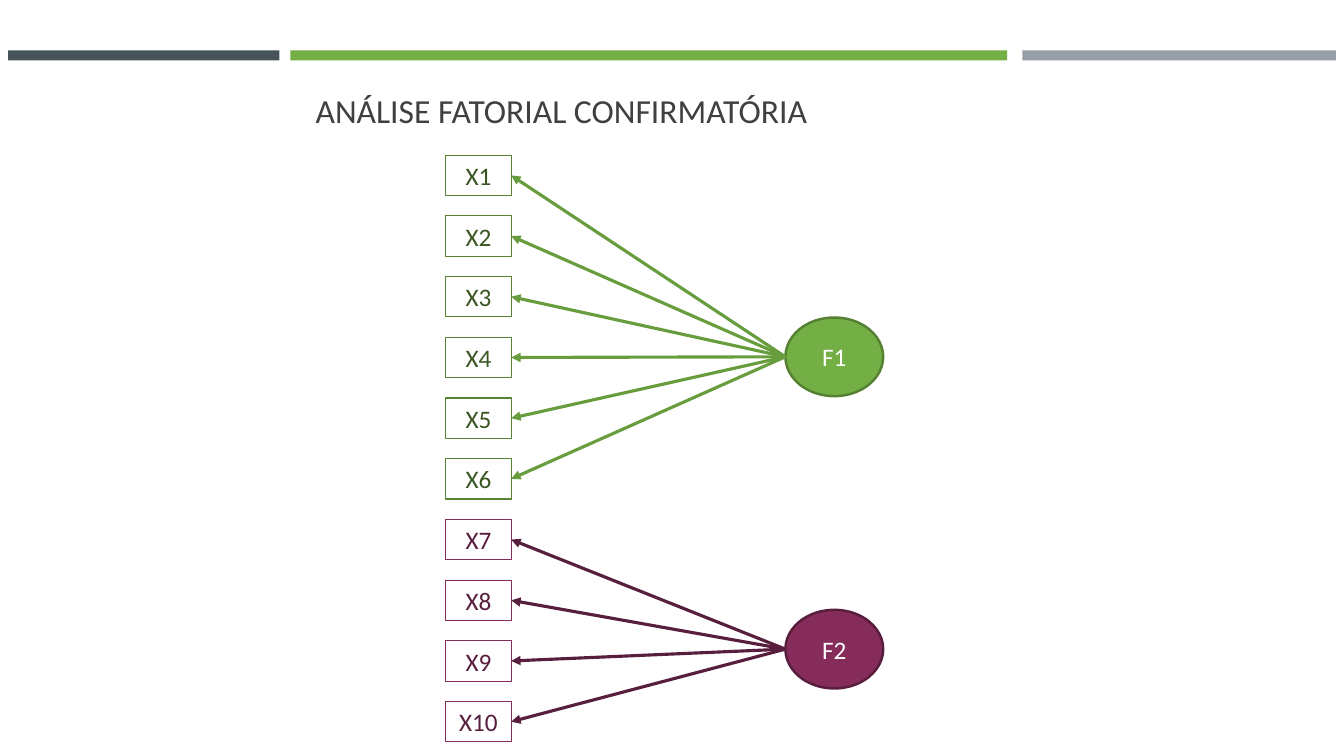
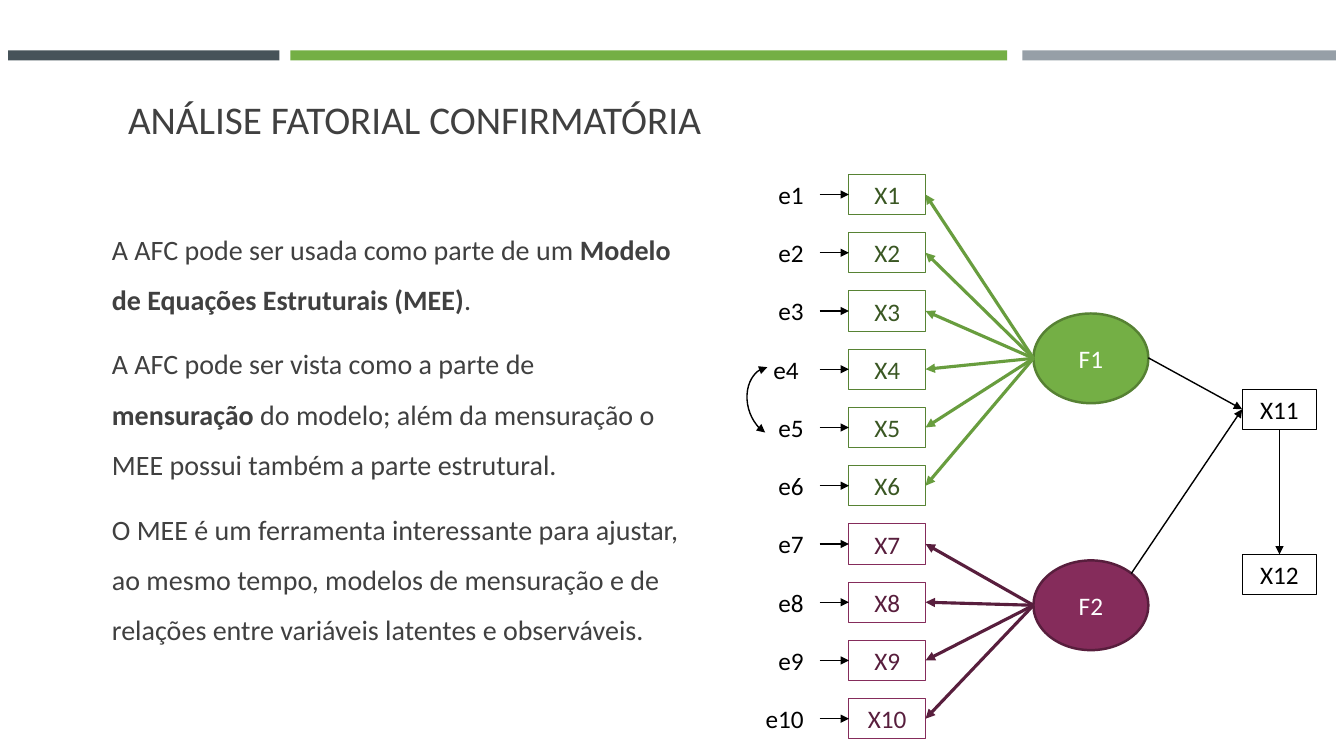
from lxml import etree
from pptx import Presentation
from pptx.dml.color import RGBColor
from pptx.enum import shapes, text
from pptx.oxml import ns
from pptx.util import Inches, Pt

FONT = "Calibri"
DARK, GREEN, GRAY = "465359", "74AF45", "969FA7"
BODY_INK, BLACK, WHITE = "404040", "000000", "FFFFFF"
TITLE = "ANÁLISE FATORIAL CONFIRMATÓRIA"
BOX_HEIGHT = 0.4
color = RGBColor.from_string


def add_node(slide, kind, position, label, fill, outline, outline_width, ink):
    shape = slide.shapes.add_shape(kind, *map(Inches, position))
    shape.shadow.inherit = False
    shape.fill.solid()
    shape.fill.fore_color.rgb = color(fill)
    shape.line.color.rgb = color(outline)
    shape.line.width = Pt(outline_width)
    shape.text_frame.vertical_anchor = text.MSO_ANCHOR.MIDDLE
    paragraph = shape.text_frame.paragraphs[0]
    paragraph.alignment = text.PP_ALIGN.CENTER
    run = paragraph.add_run()
    run.text = label
    run.font.name, run.font.size = FONT, Pt(18)
    run.font.color.rgb = color(ink)


def add_arrow(slide, start, end, line_color, width):
    """Draw a straight line with its arrowhead at the end point."""
    arrow = slide.shapes.add_connector(
        shapes.MSO_CONNECTOR.STRAIGHT, *map(Inches, (*start, *end)))
    arrow.line.color.rgb = color(line_color)
    arrow.line.width = Pt(width)
    etree.SubElement(arrow.line._get_or_add_ln(), ns.qn("a:tailEnd"), type="triangle")
    etree.SubElement(arrow.element.spPr, ns.qn("a:effectLst"))


presentation = Presentation()
presentation.slide_width = Inches(13.33)
presentation.slide_height = Inches(7.5)
model_slide = presentation.slides.add_slide(presentation.slide_layouts[5])
equations_slide = presentation.slides.add_slide(presentation.slide_layouts[1])

# Bands live on the slide master
for left, width, band_color in [(0.08, 2.69, DARK), (10.14, 3.11, GRAY), (2.88, 7.11, GREEN)]:
    band = model_slide.shapes.add_shape(
        shapes.MSO_SHAPE.RECTANGLE, Inches(left), Inches(0.5), Inches(width), Inches(0.1))
    band.shadow.inherit = False
    band.fill.solid()
    band.fill.fore_color.rgb = color(band_color)
    band.line.fill.background()
    presentation.slide_master.shapes.element.append(band.element)

# Titles
for slide, position, size in [
    (model_slide, (3.03, 0.74, 6.01, 0.7), 24),
    (equations_slide, (1.17, 0.83, 11, 0.7), 28),
]:
    title = slide.shapes.title
    title.left, title.top, title.width, title.height = map(Inches, position)
    title.text_frame.vertical_anchor = text.MSO_ANCHOR.MIDDLE
    paragraph = title.text_frame.paragraphs[0]
    paragraph.alignment = text.PP_ALIGN.LEFT
    run = paragraph.add_run()
    run.text = TITLE
    run.font.name, run.font.size = FONT, Pt(size)
    run.font.color.rgb = color(BODY_INK)

# Body text: (text, bold) runs
body_paragraphs = [
    [("A AFC pode ser usada como parte de um ", False),
     ("Modelo de Equações Estruturais (MEE)", True), (".", False)],
    [("A AFC pode ser vista como a parte de ", False), ("mensuração", True),
     (" do modelo; além da mensuração o MEE possui também a parte estrutural.", False)],
    [("O MEE é um ferramenta interessante para ajustar, ao mesmo tempo, modelos de "
      "mensuração e de relações entre variáveis latentes e observáveis.", False)],
]
body = equations_slide.placeholders[1]
body.left, body.top, body.width, body.height = map(Inches, (1.01, 2.01, 5.85, 4.53))
frame = body.text_frame
frame.vertical_anchor = text.MSO_ANCHOR.MIDDLE
for index, runs in enumerate(body_paragraphs):
    paragraph = frame.add_paragraph() if index else frame.paragraphs[0]
    properties = paragraph._p.get_or_add_pPr()
    properties.set("marL", "0")
    properties.set("indent", "0")
    etree.SubElement(properties, ns.qn("a:buNone"))
    paragraph.line_spacing = 1.5
    paragraph.space_before = Pt(4 if index else 0)
    paragraph.space_after = Pt(6)
    for words, bold in runs:
        run = paragraph.add_run()
        run.text = words
        run.font.name, run.font.size, run.font.bold = FONT, Pt(20), bold
        run.font.color.rgb = color(BODY_INK)

# Factors with their indicators:
# label, indicators, fill, outline, box outline, box ink, arrow
factors = [
    ("F1", range(1, 7), GREEN, "568133", "578334", "3A5723", "689D3E"),
    ("F2", range(7, 11), "852C5B", "581E3D", "852C5B", "581E3D", "581E3D"),
]
# slide, box left, box width, first top, last top, factor left, factor size, factor tops
diagrams = [
    (model_slide, 4.42, 0.65, 1.54, 6.96, 7.79, (0.97, 0.78), (3.15, 6.05)),
    (equations_slide, 8.42, 0.76, 1.73, 6.93, 10.25, (1.14, 0.89), (3.11, 5.56)),
]
for slide, box_left, box_width, first, last, factor_left, factor_size, tops in diagrams:
    for factor, factor_top in zip(factors, tops):
        label, indicators, fill, outline, box_outline, box_ink, arrow_color = factor
        add_node(slide, shapes.MSO_SHAPE.OVAL, (factor_left, factor_top, *factor_size),
                 label, fill, outline, 1.75, WHITE)
        for number in indicators:
            top = first + (last - first) * (number - 1) / 9
            add_node(slide, shapes.MSO_SHAPE.RECTANGLE, (box_left, top, box_width, BOX_HEIGHT),
                     f"X{number}", WHITE, box_outline, 0.75, box_ink)
            add_arrow(slide, (factor_left, factor_top + factor_size[1] / 2),
                      (box_left + box_width, top + BOX_HEIGHT / 2), arrow_color, 2.25)

# Error terms, one per indicator
for number in range(1, 11):
    top = 1.73 + (6.93 - 1.73) * (number - 1) / 9
    left = 7.32 if number == 4 else 7.37
    error = equations_slide.shapes.add_textbox(
        Inches(left), Inches(top), Inches(0.7), Inches(BOX_HEIGHT))
    error.text_frame.word_wrap = True
    paragraph = error.text_frame.paragraphs[0]
    paragraph.alignment = text.PP_ALIGN.RIGHT
    run = paragraph.add_run()
    run.text = f"e{number}"
    run.font.name, run.font.size = FONT, Pt(18)
    run.font.color.rgb = color(BLACK)
    middle = top + BOX_HEIGHT / 2
    add_arrow(equations_slide, (8.13, middle), (8.42, middle), BLACK, 1)

# Correlation between e4 and e5
arc = equations_slide.shapes.add_shape(
    shapes.MSO_SHAPE.ARC, *map(Inches, (7.33, 3.72, 0.7, 0.53)))
arc.shadow.inherit = False
arc.rotation = 255.2
arc.adjustments[0] = 126.86
arc.adjustments[1] = 1.97
arc.fill.background()
arc.line.color.rgb = color(BLACK)
arc.line.width = Pt(1)
for end in ("a:headEnd", "a:tailEnd"):
    etree.SubElement(arc.line._get_or_add_ln(), ns.qn(end), type="triangle")

# Structural part
for label, top in [("X11", 3.86), ("X12", 5.5)]:
    add_node(equations_slide, shapes.MSO_SHAPE.RECTANGLE, (12.32, top, 0.74, BOX_HEIGHT),
             label, WHITE, BLACK, 0.75, BLACK)
for start, end in [((11.39, 3.55), (12.32, 4.06)), ((11.22, 5.69), (12.32, 4.06)),
                   ((12.69, 4.26), (12.69, 5.5))]:
    add_arrow(equations_slide, start, end, BLACK, 1)

presentation.save("out.pptx")
